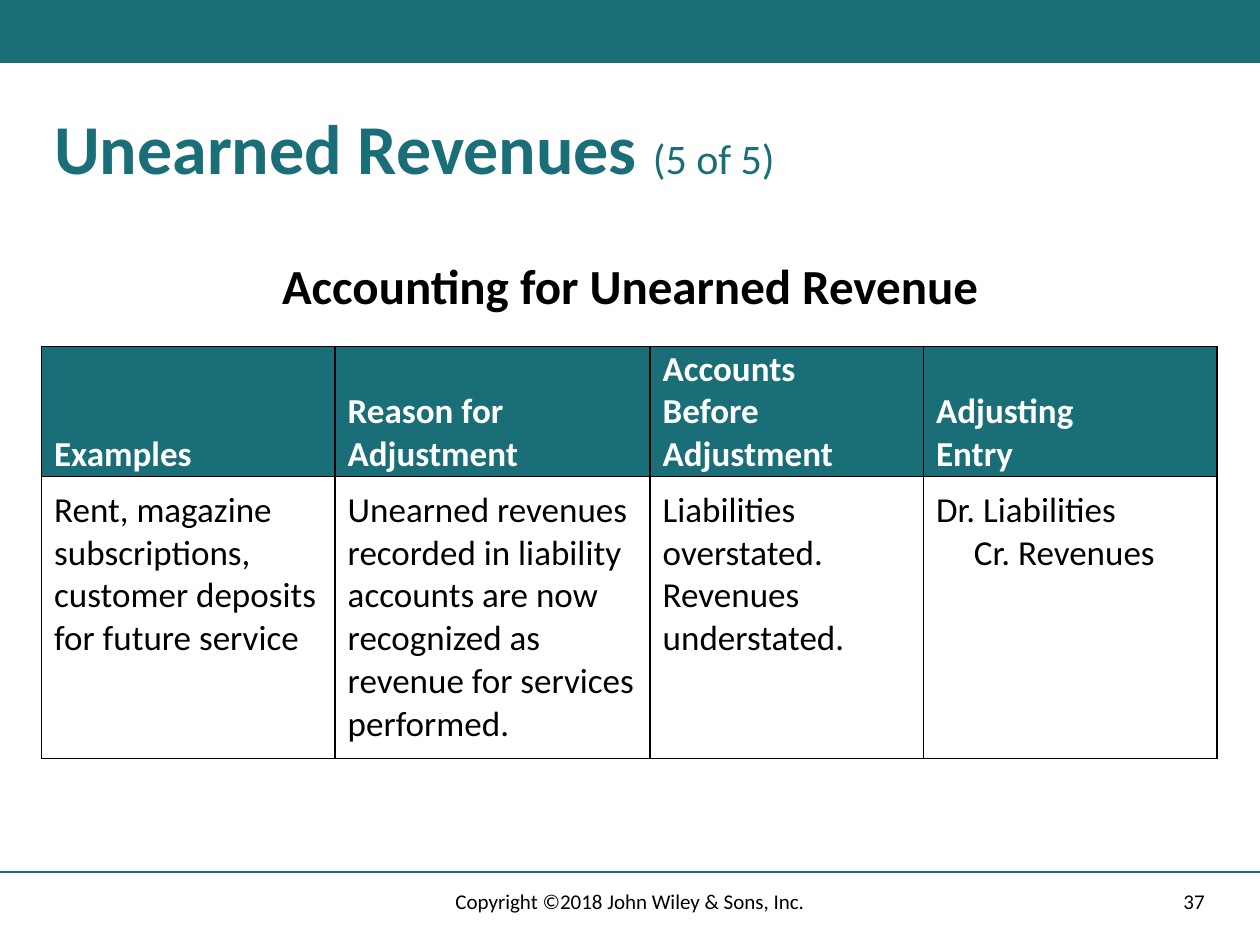
from lxml.etree import SubElement
from pptx import Presentation
from pptx.dml.color import RGBColor
from pptx.enum.shapes import MSO_CONNECTOR, MSO_SHAPE
from pptx.enum.text import MSO_ANCHOR as Anchor, PP_ALIGN as Align
from pptx.oxml.ns import qn
from pptx.util import Inches, Pt

COLORS = {"teal": "196E78", "black": "000000", "white": "FFFFFF"}
FONT = "Calibri"
WIDTH, HEIGHT = Inches(10), Inches(7.5)
MARGIN = Inches(0.33)
COLUMNS = [2.33, 2.5, 2.17, 2.33]
ROWS = [1.03, 2.24]
HEADERS = [
    ["Examples"],
    ["Reason for", "Adjustment"],
    ["Accounts", "Before", "Adjustment"],
    ["Adjusting", "Entry"],
]
ENTRIES = [
    ["Rent, magazine", "subscriptions, customer deposits for future service"],
    ["Unearned revenues", "recorded in liability", "accounts are now",
     "recognized as", "revenue for services", "performed."],
    ["Liabilities", "overstated.", "Revenues", "understated."],
    ["Dr. Liabilities", "Cr. Revenues"],
]


def rgb(name):
    return RGBColor.from_string(COLORS[name])


def set_font(font, size, color, bold=False):
    font.name, font.size, font.bold = FONT, Pt(size), bold
    font.color.rgb = rgb(color)


def add_band(slide):
    sp = slide.shapes.add_shape(MSO_SHAPE.RECTANGLE, 0, 0, WIDTH, Inches(0.5))
    sp.shadow.inherit = False
    sp.fill.solid()
    sp.fill.fore_color.rgb = rgb("teal")
    sp.line.fill.background()


def add_rule(slide, y):
    line = slide.shapes.add_connector(MSO_CONNECTOR.STRAIGHT, 0, y, WIDTH, y)
    line.line.color.rgb = rgb("teal")
    line.line.width = Pt(1)
    SubElement(line._element.spPr, qn("a:effectLst"))


def format_title(slide):
    title = slide.shapes.title
    title.left, title.top = MARGIN, Inches(0.83)
    title.width, title.height = WIDTH - 2 * MARGIN, Inches(0.75)
    tf = title.text_frame
    tf.vertical_anchor = Anchor.MIDDLE
    p = tf.paragraphs[0]
    p.alignment, p.line_spacing = Align.LEFT, 0.9
    for text, size, bold in [("Unearned Revenues ", 40, True), ("(5 of 5)", 24, False)]:
        r = p.add_run()
        r.text = text
        set_font(r.font, size, "teal", bold)


def add_text(slide, text, left, top, width, height, size, align, bold=False):
    box = slide.shapes.add_textbox(*map(Inches, (left, top, width, height)))
    tf = box.text_frame
    tf.word_wrap = True
    tf.vertical_anchor = Anchor.MIDDLE
    p = tf.paragraphs[0]
    p.text, p.alignment = text, align
    set_font(p.font, size, "black", bold)
    return p


def add_borders(cell):
    tc_pr = cell._tc.get_or_add_tcPr()
    for i, side in enumerate(("lnL", "lnR", "lnT", "lnB")):
        ln = tc_pr.makeelement(qn(f"a:{side}"), {"w": str(Pt(1))})
        fill = SubElement(ln, qn("a:solidFill"))
        SubElement(fill, qn("a:srgbClr"), val=COLORS["black"])
        tc_pr.insert(i, ln)


def fill_cell(cell, lines, fill, color, bold, anchor, inset):
    cell.fill.solid()
    cell.fill.fore_color.rgb = rgb(fill)
    cell.vertical_anchor = anchor
    cell.margin_left = cell.margin_right = Inches(0.1)
    cell.margin_top = cell.margin_bottom = Inches(inset)
    cell.text = "\n".join(lines)
    for p in cell.text_frame.paragraphs:
        set_font(p.font, 20, color, bold)
    add_borders(cell)


def add_accounts_table(slide):
    table = slide.shapes.add_table(
        len(ROWS), len(COLUMNS), MARGIN, Inches(2.75),
        Inches(sum(COLUMNS)), Inches(sum(ROWS))).table
    for row, height in zip(table.rows, ROWS):
        row.height = Inches(height)
    for i, width in enumerate(COLUMNS):
        table.columns[i].width = Inches(width)
        fill_cell(table.cell(0, i), HEADERS[i], "teal", "white", True, Anchor.BOTTOM, 0)
        fill_cell(table.cell(1, i), ENTRIES[i], "white", "black", False, Anchor.TOP, 0.1)
    credit = table.cell(1, 3).text_frame.paragraphs[1]
    p_pr = credit._p.get_or_add_pPr()
    p_pr.set("marL", "0")
    p_pr.set("indent", str(Inches(0.3)))


def main():
    prs = Presentation()
    prs.slide_width, prs.slide_height = WIDTH, HEIGHT
    slide = prs.slides.add_slide(prs.slide_layouts[5])
    add_band(slide)
    add_rule(slide, Inches(6.92))
    format_title(slide)
    heading = add_text(slide, "Accounting for Unearned Revenue",
                       2.1, 2.05, 5.8, 0.48, 28, Align.CENTER, True)
    heading.line_spacing = 0.9
    add_accounts_table(slide)
    add_text(slide, "37", 7.06, 6.95, 2.6, 0.4, 12, Align.RIGHT)
    add_text(slide, "Copyright ©2018 John Wiley & Sons, Inc.",
             3.31, 6.95, 3.38, 0.4, 12, Align.CENTER)
    prs.save("out.pptx")


if __name__ == "__main__":
    main()
